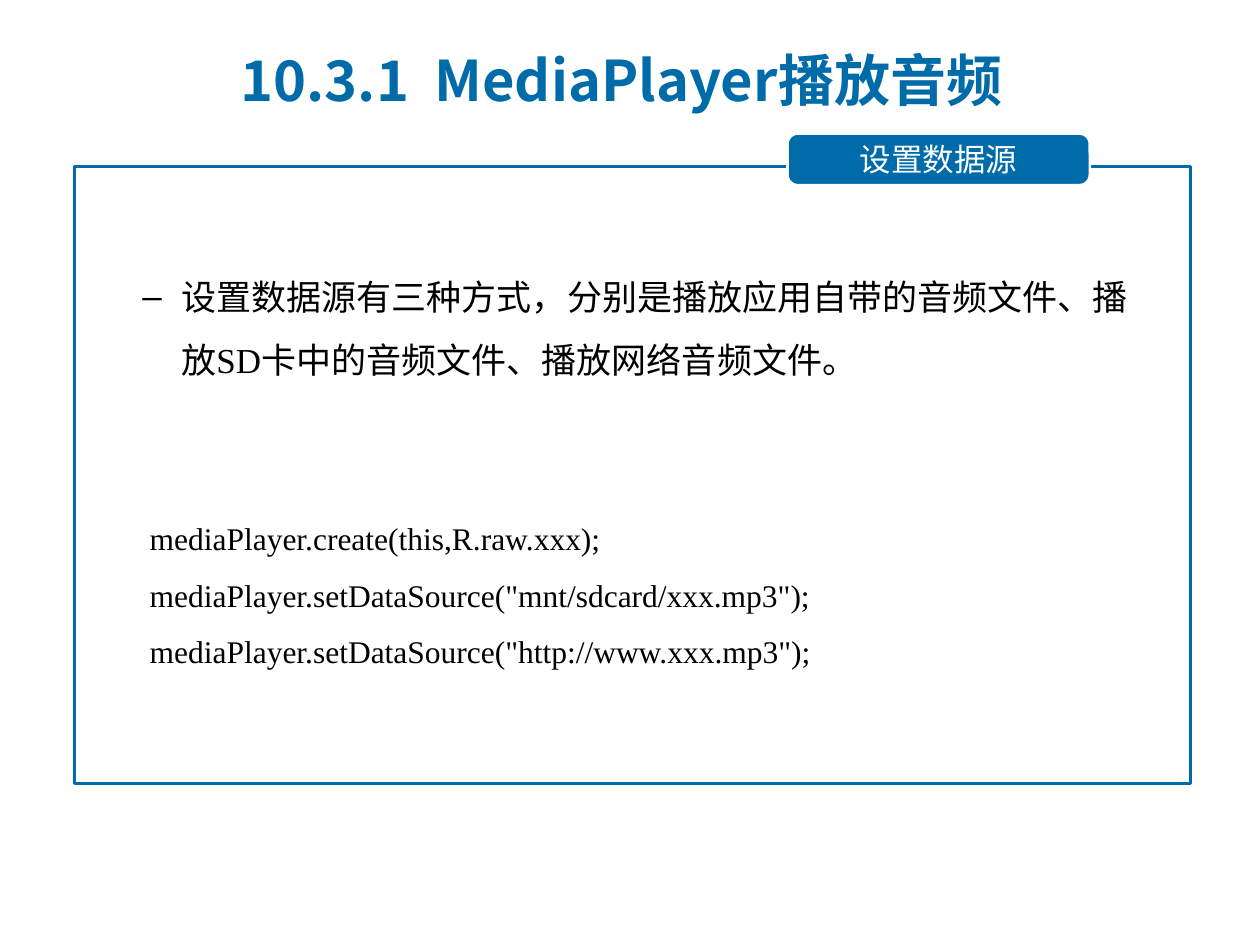
import pptx
import pptx.util
import pptx.dml.color
import pptx.enum.shapes
import pptx.enum.text
import pptx.oxml.ns
from lxml import etree

HUES = {"blue": "006BA9", "white": "FFFFFF", "black": "000000"}
SANS, SERIF, HAN = "Arial", "Times New Roman", "Noto Sans CJK SC"
COLS, ROWS = 100, 75
KIND = pptx.enum.shapes.MSO_SHAPE
ALIGN = pptx.enum.text.PP_ALIGN
ANCHOR = pptx.enum.text.MSO_ANCHOR


def hue(name):
    return pptx.dml.color.RGBColor.from_string(HUES[name])


class Deck:
    """Holds the style and the slide; boxes are (left, top, width, height) in grid cells."""

    def __init__(self):
        self.prs = pptx.Presentation()
        self.prs.slide_width = pptx.util.Inches(10)
        self.prs.slide_height = pptx.util.Inches(7.5)
        self.slide = self.prs.slides.add_slide(self.prs.slide_layouts[1])

    def cells(self, box):
        col = self.prs.slide_width / COLS
        row = self.prs.slide_height / ROWS
        return [round(n * unit) for n, unit in zip(box, (col, row, col, row))]

    def place(self, item, box):
        item.left, item.top, item.width, item.height = self.cells(box)

    def style(self, run, size, color, face, bold=False):
        font = run.font
        font.size, font.bold, font.name = pptx.util.Pt(size), bold, face
        font.color.rgb = hue(color)
        east = etree.SubElement(run._r.get_or_add_rPr(), pptx.oxml.ns.qn("a:ea"))
        east.set("typeface", HAN)

    def frame(self, item, anchor):
        text = item.text_frame
        text.word_wrap = True
        text.auto_size = pptx.enum.text.MSO_AUTO_SIZE.NONE
        text.vertical_anchor = anchor
        return text

    def title(self, box, words):
        item = self.slide.shapes.title
        self.place(item, box)
        text = self.frame(item, ANCHOR.MIDDLE)
        text.text = words
        para = text.paragraphs[0]
        para.alignment = ALIGN.LEFT
        self.style(para.runs[0], 32, "blue", HAN, True)

    def point(self, box, parts):
        """A dashed second-level list item made of (words, face) parts."""
        item = self.slide.placeholders[1]
        self.place(item, box)
        para = self.frame(item, ANCHOR.TOP).paragraphs[0]
        para.level, para.line_spacing = 1, 1.5
        para.space_before = pptx.util.Pt(0)
        props = para._p.get_or_add_pPr()
        props.set("marL", str(pptx.util.Inches(0.81)))
        props.set("indent", str(pptx.util.Inches(-0.31)))
        etree.SubElement(props, pptx.oxml.ns.qn("a:buChar")).set("char", "–")
        for words, face in parts:
            run = para.add_run()
            run.text = words
            self.style(run, 20, "black", face)

    def shape(self, kind, box, fill=None, line=None):
        item = self.slide.shapes.add_shape(kind, *self.cells(box))
        item.shadow.inherit = False
        if fill:
            item.fill.solid()
            item.fill.fore_color.rgb = hue(fill)
        else:
            item.fill.background()
        if line:
            item.line.color.rgb = hue(line)
            item.line.width = pptx.util.Pt(1.5)
        else:
            item.line.fill.background()
        return item

    def label(self, box, words):
        item = self.shape(KIND.ROUNDED_RECTANGLE, box, "blue", "white")
        item.adjustments[0] = 0.2
        text = self.frame(item, ANCHOR.MIDDLE)
        text.text = words
        para = text.paragraphs[0]
        para.alignment = ALIGN.CENTER
        self.style(para.runs[0], 18, "white", HAN)

    def code(self, box, lines):
        text = self.frame(self.shape(KIND.RECTANGLE, box, "white"), ANCHOR.TOP)
        text.text = "\n".join(lines)
        for para in text.paragraphs:
            para.alignment, para.line_spacing = ALIGN.LEFT, 1.5
            self.style(para.runs[0], 18, "black", SERIF)


def main():
    deck = Deck()

    # Heading
    deck.title((18.1, 2.1, 76.4, 8.4), "10.3.1  MediaPlayer播放音频")

    # Framed panel with its label
    deck.shape(KIND.RECTANGLE, (5.9, 13.2, 88.6, 49), line="blue")
    deck.label((62.5, 10.6, 24, 4.1), "设置数据源")

    # Explanation
    deck.point((5.3, 19.7, 87.2, 11.7), [
        ("设置数据源有三种方式，分别是播放应用自带的音频文件、播放", SANS),
        ("SD", SERIF),
        ("卡中的音频文件、播放网络音频文件。", SANS),
    ])

    # Code sample
    deck.code((8.4, 39.2, 84.1, 14.1), [
        '    mediaPlayer.create(this,R.raw.xxx);',
        '    mediaPlayer.setDataSource("mnt/sdcard/xxx.mp3");',
        '    mediaPlayer.setDataSource("http://www.xxx.mp3");',
    ])

    deck.prs.save("out.pptx")


if __name__ == "__main__":
    main()
